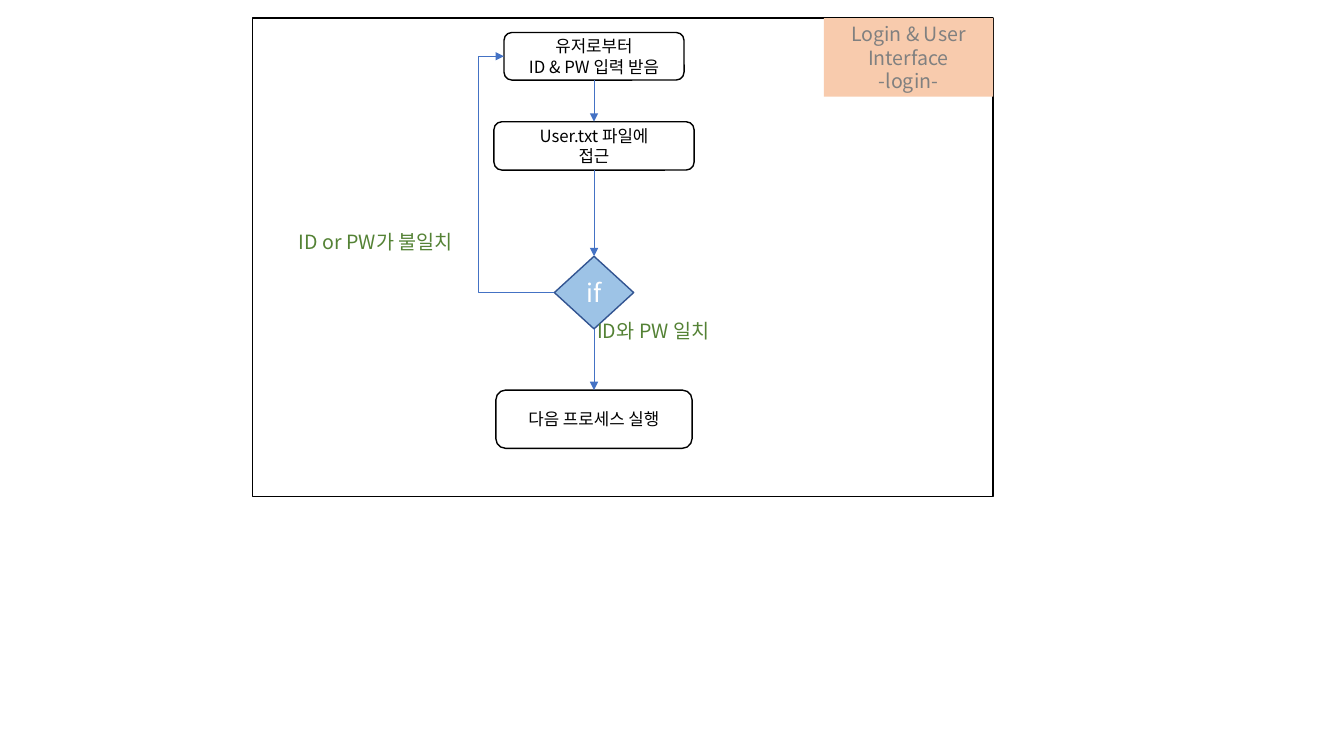
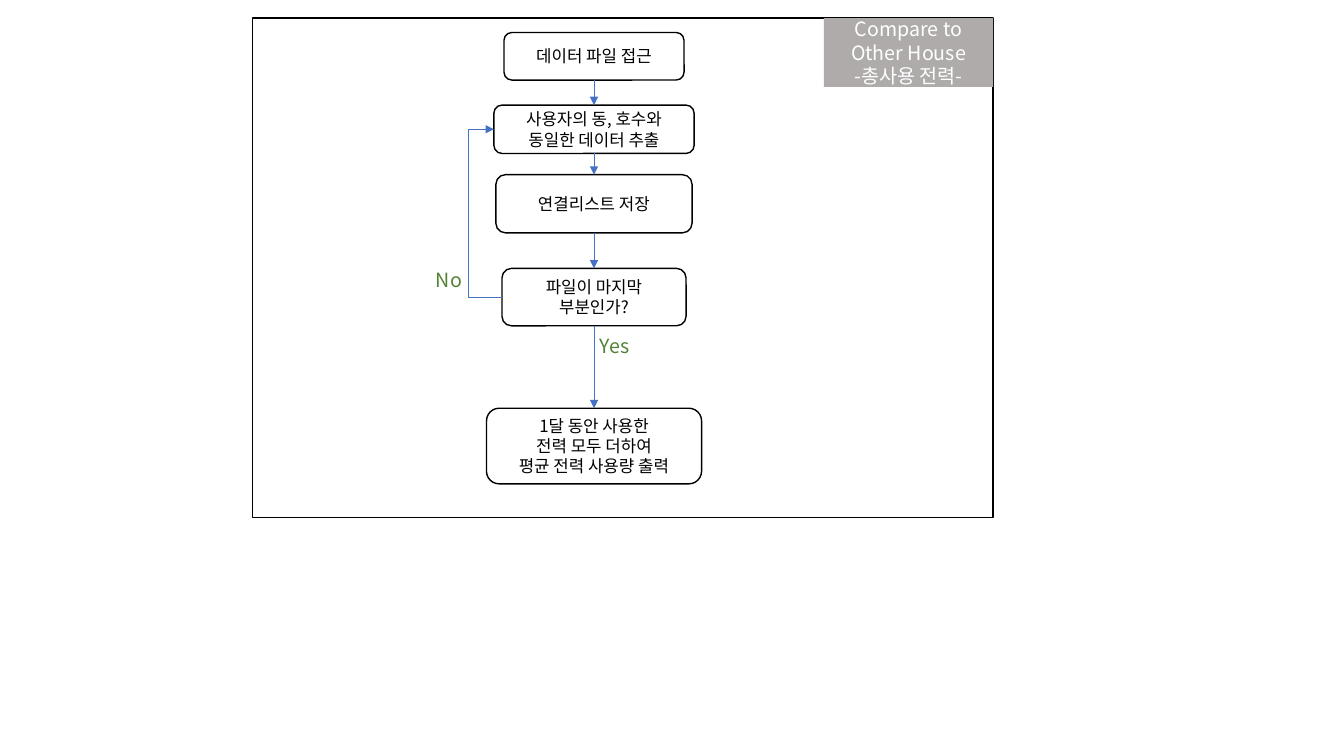
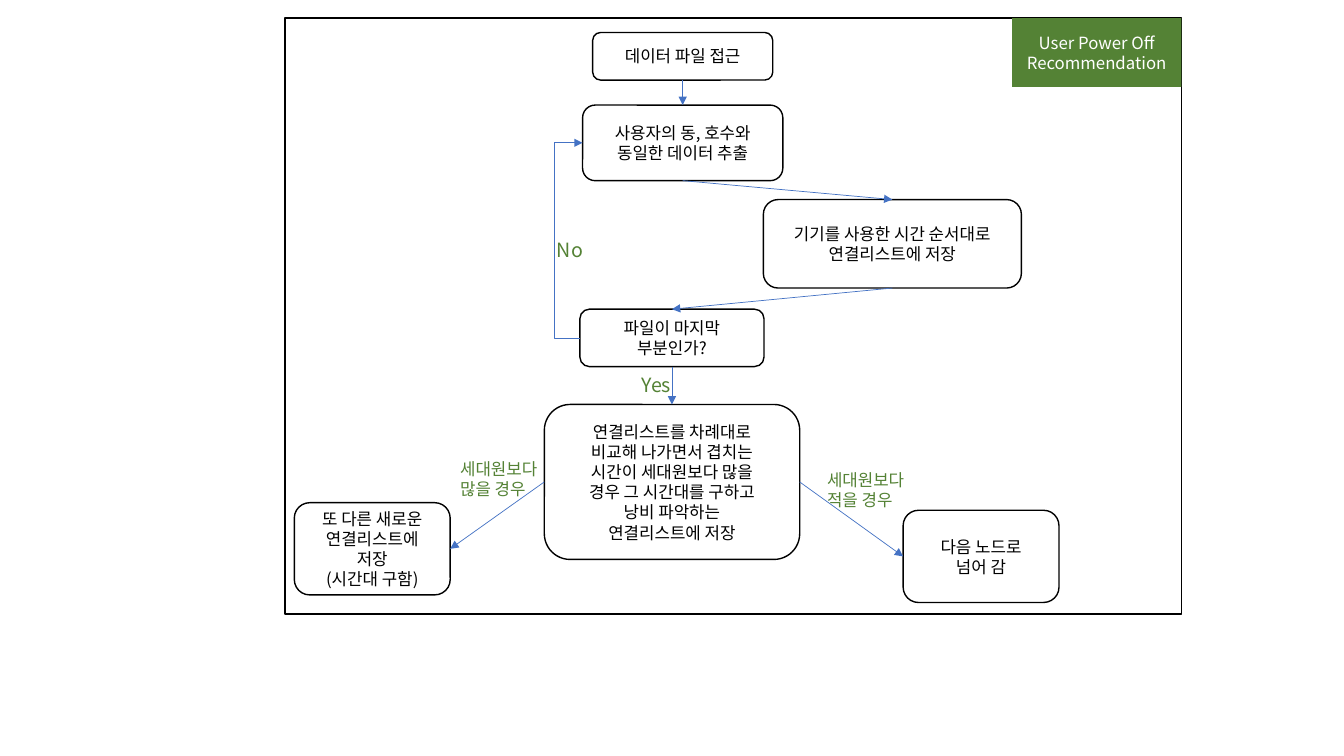
"""Three flowchart slides, laid out on a grid of 100 columns by 100 rows."""
from lxml.etree import SubElement
from pptx import Presentation
from pptx.dml.color import RGBColor
from pptx.enum.shapes import MSO_CONNECTOR, MSO_SHAPE
from pptx.enum.text import MSO_ANCHOR, PP_ALIGN
from pptx.oxml.ns import qn
from pptx.util import Inches, Pt

FONT = "Noto Sans CJK KR"
BLACK, WHITE, BLUE, GREEN = "000000", "FFFFFF", "4472C4", "548235"
TOP, LEFT, BOTTOM, RIGHT = range(4)
FRAME_TOP, HEADER_W, LOOP_GAP = 2.4, 12.6, 1.9
MID = 44.2
STEP = dict(shape=MSO_SHAPE.ROUNDED_RECTANGLE, fill=None, line=BLACK, size=12, color=BLACK)
CHECK = dict(shape=MSO_SHAPE.FLOWCHART_DECISION, fill="9DC3E6", line="325491", size=18, color=WHITE)

prs = Presentation()
prs.slide_width, prs.slide_height = Inches(13.333), Inches(7.5)
COL, ROW = prs.slide_width / 100, prs.slide_height / 100
rgb = RGBColor.from_string

slides = [
    dict(
        frame=(18.8, 55.1, 63.3),
        header=("Login & User\nInterface\n-login-", 10.4, "F8CBAD", "808080", 14),
        nodes=[
            (MID, 4.3, 13.4, 6.3, "유저로부터\nID & PW 입력 받음", STEP),
            (MID, 16.1, 14.9, 6.4, "User.txt 파일에\n접근", STEP),
            (MID, 33.9, 5.9, 9.6, "if", CHECK),
            (MID, 51.6, 14.6, 7.7, "다음 프로세스 실행", STEP),
        ],
        links=[(0, BOTTOM, 1, TOP), (1, BOTTOM, 2, TOP), (2, BOTTOM, 3, TOP), (2, LEFT, 0, LEFT)],
        labels=[(21.5, 29.7, 16, "ID or PW가 불일치", 14), (43.7, 41.5, 16, "ID와 PW 일치", 14)],
    ),
    dict(
        frame=(18.8, 55.1, 66.1),
        header=("Compare to\nOther House\n-총사용 전력-", 9.1, "AFABAB", WHITE, 14),
        nodes=[
            (MID, 4.3, 13.4, 6.3, "데이터 파일 접근", STEP),
            (MID, 13.9, 14.9, 6.4, "사용자의 동, 호수와\n동일한 데이터 추출", STEP),
            (MID, 23.1, 14.6, 7.7, "연결리스트 저장", STEP),
            (MID, 35.5, 13.7, 7.6, "파일이 마지막\n부분인가?", STEP),
            (MID, 54, 16, 10, "1달 동안 사용한\n전력 모두 더하여\n평균 전력 사용량 출력", STEP),
        ],
        links=[(0, BOTTOM, 1, TOP), (1, BOTTOM, 2, TOP), (2, BOTTOM, 3, TOP), (3, BOTTOM, 4, TOP),
               (3, LEFT, 1, LEFT)],
        labels=[(43.9, 43.5, 6, "Yes", 14), (31.7, 34.8, 6, "No", 14)],
    ),
    dict(
        frame=(21.2, 66.7, 78.8),
        header=("User Power Off\nRecommendation", 9.1, GREEN, WHITE, 12),
        nodes=[
            (50.8, 4.3, 13.4, 6.3, "데이터 파일 접근", STEP),
            (50.8, 13.9, 14.9, 10, "사용자의 동, 호수와\n동일한 데이터 추출", STEP),
            (66.4, 26.4, 19.2, 11.7, "기기를 사용한 시간 순서대로\n연결리스트에 저장", STEP),
            (50, 40.9, 13.7, 7.6, "파일이 마지막\n부분인가?", STEP),
            (50, 53.5, 19, 20.5, "연결리스트를 차례대로\n비교해 나가면서 겹치는\n시간이 세대원보다 많을\n"
             "경우 그 시간대를 구하고\n낭비 파악하는\n연결리스트에 저장", STEP),
            (27.7, 66.5, 11.6, 12.2, "또 다른 새로운 연결리스트에\n저장\n(시간대 구함)", STEP),
            (73, 67.5, 11.6, 12.2, "다음 노드로\n넘어 감", STEP),
        ],
        links=[(0, BOTTOM, 1, TOP), (1, BOTTOM, 2, TOP), (2, BOTTOM, 3, TOP), (3, BOTTOM, 4, TOP),
               (4, LEFT, 5, RIGHT), (4, RIGHT, 6, LEFT), (3, LEFT, 1, LEFT)],
        labels=[(47, 48.7, 6, "Yes", 14), (40.7, 30.8, 6, "No", 14),
                (33.5, 60, 9.1, "세대원보다\n많을 경우", 12), (60.8, 61.5, 9.1, "세대원보다\n적을 경우", 12)],
    ),
]


def write(sp, text, size, color, align=PP_ALIGN.CENTER, anchor=MSO_ANCHOR.MIDDLE):
    tf = sp.text_frame
    tf.word_wrap, tf.vertical_anchor = True, anchor
    for i, line in enumerate(text.split("\n")):
        p = tf.paragraphs[0] if i == 0 else tf.add_paragraph()
        p.alignment = align
        r = p.add_run()
        r.text = line
        r.font.color.rgb = rgb(color)
        for key, value in dict(name=FONT, size=Pt(size)).items():
            setattr(r.font, key, value)
        SubElement(r.font._element, qn("a:ea"), typeface=FONT)


def block(s, shape, x, y, w, h, fill=None, line=None):
    sp = s.shapes.add_shape(shape, *(round(v) for v in (x * COL, y * ROW, w * COL, h * ROW)))
    sp.shadow.inherit = False
    for fmt, color in ((sp.fill, fill), (sp.line.fill, line)):
        if color:
            fmt.solid()
            fmt.fore_color.rgb = rgb(color)
        else:
            fmt.background()
    if line:
        sp.line.width = Pt(1)
    return sp


for page in slides:
    s = prs.slides.add_slide(prs.slide_layouts[6])

    x, w, h = page["frame"]
    block(s, MSO_SHAPE.RECTANGLE, x, FRAME_TOP, w, h, line=BLACK)
    text, h, fill, color, size = page["header"]
    header = block(s, MSO_SHAPE.RECTANGLE, x + w - HEADER_W, FRAME_TOP, HEADER_W, h, fill)
    write(header, text, size, color)

    nodes = []
    for mid, y, w, h, text, look in page["nodes"]:
        sp = block(s, look["shape"], mid - w / 2, y, w, h, look["fill"], look["line"])
        write(sp, text, look["size"], look["color"])
        nodes.append(sp)

    for start, side, end, end_side in page["links"]:
        loop = side == end_side
        kind = MSO_CONNECTOR.ELBOW if loop else MSO_CONNECTOR.STRAIGHT
        cx = s.shapes.add_connector(kind, 0, 0, 0, 0)
        cx.begin_connect(nodes[start], side)
        cx.end_connect(nodes[end], end_side)
        cx.line.color.rgb = rgb(BLUE)
        cx.line.width = Pt(0.5)
        spPr = cx._element.spPr
        SubElement(spPr.find(qn("a:ln")), qn("a:tailEnd"), type="triangle")
        SubElement(spPr, qn("a:effectLst"))
        if loop:
            turn = min(cx.begin_x, cx.end_x) - LOOP_GAP * COL
            share = (turn - cx.begin_x) / (cx.end_x - cx.begin_x)
            guides = spPr.find(qn("a:prstGeom")).find(qn("a:avLst"))
            SubElement(guides, qn("a:gd"), name="adj1", fmla=f"val {round(share * 100000)}")

    for x, y, w, text, size in page["labels"]:
        h = 4.5 if "\n" not in text else 6.7
        tb = s.shapes.add_textbox(*(round(v) for v in (x * COL, y * ROW, w * COL, h * ROW)))
        write(tb, text, size, GREEN, PP_ALIGN.LEFT, MSO_ANCHOR.TOP)

prs.save("out.pptx")
